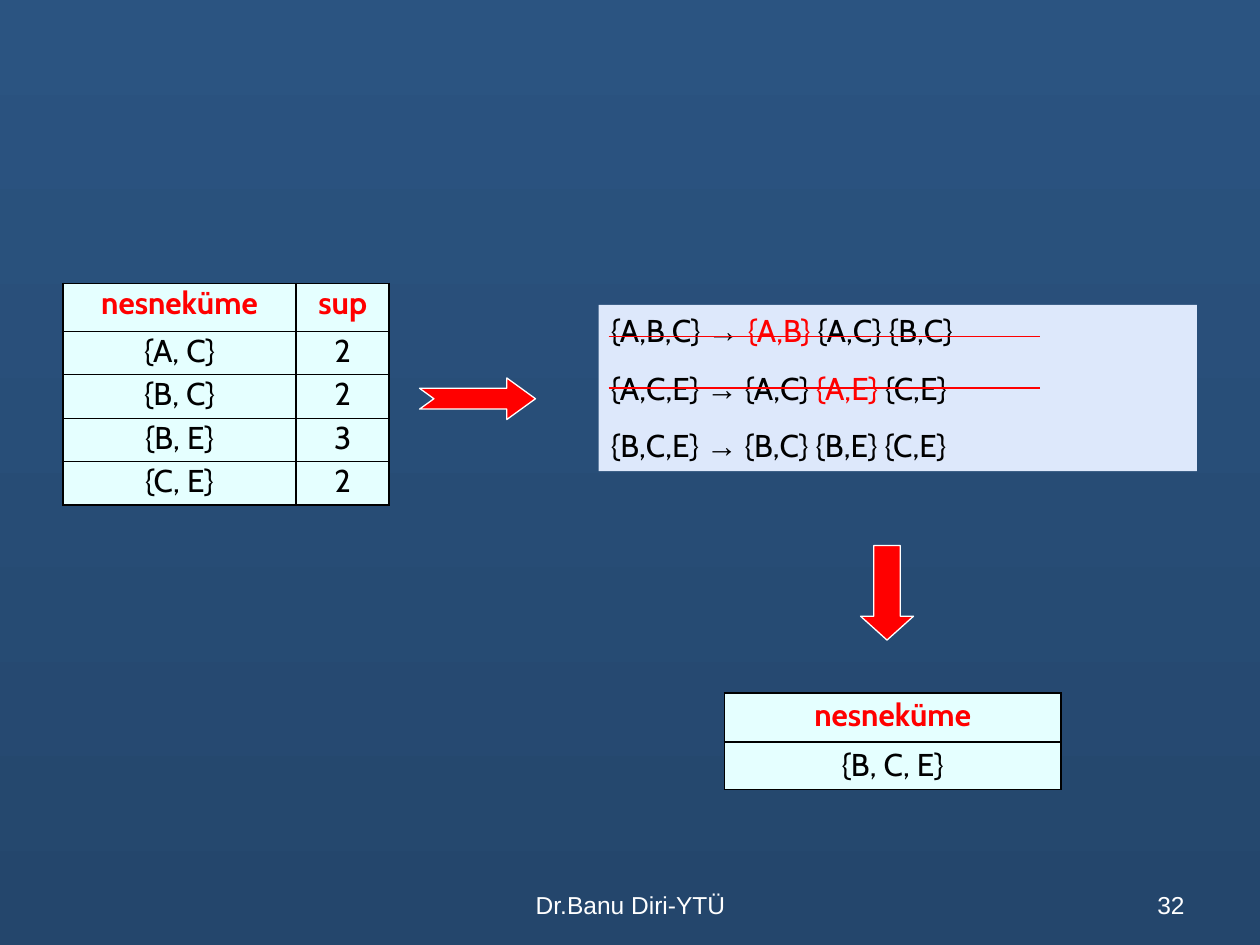
from pptx import Presentation
from pptx.dml.color import RGBColor
from pptx.enum.shapes import MSO_CONNECTOR, MSO_SHAPE
from pptx.enum.text import MSO_ANCHOR, MSO_AUTO_SIZE, PP_ALIGN
from pptx.oxml.ns import qn
from pptx.util import Inches, Pt
from lxml import etree

RECTANGLE = MSO_SHAPE.RECTANGLE
NOTCHED_ARROW = MSO_SHAPE.NOTCHED_RIGHT_ARROW
DOWN_ARROW = MSO_SHAPE.DOWN_ARROW
STRAIGHT = MSO_CONNECTOR.STRAIGHT
LEFT, CENTER, RIGHT = PP_ALIGN.LEFT, PP_ALIGN.CENTER, PP_ALIGN.RIGHT
TOP, BOTTOM = MSO_ANCHOR.TOP, MSO_ANCHOR.BOTTOM
GROW = MSO_AUTO_SIZE.SHAPE_TO_FIT_TEXT

RED, BLACK, WHITE = "FF0000", "000000", "FFFFFF"
CELL_FILL, PANEL_FILL = "E5FFFF", "DDE8FB"
THICK, THIN = 1.08, 0.45


def color(value):
    return RGBColor.from_string(value)


def inches(*lengths):
    return [Inches(length) for length in lengths]


class SlideBuilder:
    body_font, symbol_font = "Cabin", "Arial"
    body_size, footer_size = 18, 14

    def __init__(self, slide):
        self.slide = slide

    def background(self, *stop_colors):
        fill = self.slide.background.fill
        fill.gradient()
        fill.gradient_angle = 270
        for stop, value in zip(fill.gradient_stops, stop_colors):
            stop.color.rgb = color(value)

    def paragraph(self, para, spans, **format_values):
        """Fill a paragraph with (text, font values) spans."""
        for name, value in format_values.items():
            setattr(para, name, value)
        for text, values in spans:
            span = para.add_run()
            span.text = text
            font = {"name": self.body_font, "size": Pt(self.body_size),
                    "bold": False, **values}
            span.font.color.rgb = color(font.pop("color", BLACK))
            for name, value in font.items():
                setattr(span.font, name, value)

    def border(self, cell, side, width):
        line = etree.SubElement(cell._tc.get_or_add_tcPr(), qn(f"a:ln{side}"),
                                w=str(Pt(width)))
        fill = etree.SubElement(line, qn("a:solidFill"))
        etree.SubElement(fill, qn("a:srgbClr"), val=BLACK)

    def table(self, place, widths, heights, rows, line_spacing):
        frame = self.slide.shapes.add_table(len(rows), len(widths), *inches(*place))
        table = frame.table
        for column, width in zip(table.columns, widths):
            column.width = Inches(width)
        for row, height in zip(table.rows, heights):
            row.height = Inches(height)
        last = len(rows) - 1
        for r, texts in enumerate(rows):
            header = r == 0
            for c, text in enumerate(texts):
                cell = table.cell(r, c)
                # Thin rules only between the body rows
                edges = {"L": THICK, "R": THICK,
                         "T": THICK if r <= 1 else THIN,
                         "B": THICK if r in (0, last) else THIN}
                for side, width in edges.items():
                    self.border(cell, side, width)
                cell.fill.solid()
                cell.fill.fore_color.rgb = color(CELL_FILL)
                font = {"bold": header, "color": RED if header else BLACK}
                self.paragraph(cell.text_frame.paragraphs[0], [(text, font)],
                               alignment=CENTER, line_spacing=line_spacing)

    def shape(self, kind, place, fill, line=None, adjustments=()):
        shape = self.slide.shapes.add_shape(kind, *inches(*place))
        shape.shadow.inherit = False
        shape.fill.solid()
        shape.fill.fore_color.rgb = color(fill)
        if line:
            shape.line.color.rgb = color(line)
            shape.line.width = Pt(0.75)
        else:
            shape.line.fill.background()
        for index, value in enumerate(adjustments):
            shape.adjustments[index] = value
        return shape

    def panel(self, place, fill, lines, gap):
        box = self.shape(RECTANGLE, place, fill)
        frame = box.text_frame
        for name, value in {"word_wrap": True, "vertical_anchor": TOP,
                            "auto_size": GROW}.items():
            setattr(frame, name, value)
        for index, spans in enumerate(lines):
            para = frame.add_paragraph() if index else frame.paragraphs[0]
            self.paragraph(para, spans, alignment=LEFT,
                           space_before=Pt(gap if index else 0))

    def strikes(self, left, right, heights):
        group = self.slide.shapes.add_group_shape()
        for y in heights:
            line = group.shapes.add_connector(STRAIGHT, *inches(left, y, right, y))
            line.line.color.rgb = color(RED)
            line.line.width = Pt(0.75)
            etree.SubElement(line._element.spPr, qn("a:effectLst"))

    def footer(self, place, text, alignment):
        frame = self.slide.shapes.add_textbox(*inches(*place)).text_frame
        frame.word_wrap = True
        frame.vertical_anchor = BOTTOM
        font = {"name": self.symbol_font, "size": Pt(self.footer_size), "color": WHITE}
        self.paragraph(frame.paragraphs[0], [(text, font)], alignment=alignment)


def main():
    deck = Presentation()
    deck.slide_width, deck.slide_height = inches(10, 7.5)
    builder = SlideBuilder(deck.slides.add_slide(deck.slide_layouts[6]))
    builder.background("2B5481", "24466C")

    # Frequent pairs and the resulting triple
    builder.table((0.5, 2.25, 2.59, 1.75), [1.85, 0.74], [0.38] + [0.34] * 4,
                  [("nesneküme", "sup"), ("{A, C}", "2"), ("{B, C}", "2"),
                   ("{B, E}", "3"), ("{C, E}", "2")], 0.8)
    builder.table((5.75, 5.5, 2.67, 0.76), [2.67], [0.39, 0.37],
                  [("nesneküme",), ("{B, C, E}",)], 0.9)

    # Candidate triples with their subsets, infrequent ones in red
    arrow = ("→", {"name": builder.symbol_font})
    red = {"color": RED}
    builder.panel((4.75, 2.42, 4.75, 1.32), PANEL_FILL, [
        [("{A,B,C} ", {}), ("→ ", arrow[1]), ("{A,B}", red), (" {A,C} {B,C}", {})],
        [("{A,C,E} ", {}), arrow, (" {A,C} ", {}), ("{A,E}", red), (" {C,E}", {})],
        [("{B,C,E} ", {}), arrow, (" {B,C} {B,E} {C,E}", {})],
    ], gap=11.2)

    # Flow arrows
    builder.shape(NOTCHED_ARROW, (3.33, 3, 0.92, 0.33), RED, WHITE, (0.5, 0.69))
    builder.shape(DOWN_ARROW, (6.83, 4.33, 0.42, 0.75), RED, WHITE, (0.5, 0.45))

    # Lines through the pruned candidates
    builder.strikes(4.83, 8.25, (2.67, 3.08))

    # Footer
    builder.footer((3.42, 6.83, 3.17, 0.52), "Dr.Banu Diri-YTÜ", CENTER)
    builder.footer((7.17, 6.83, 2.33, 0.52), "32", RIGHT)

    deck.save("out.pptx")


if __name__ == "__main__":
    main()
